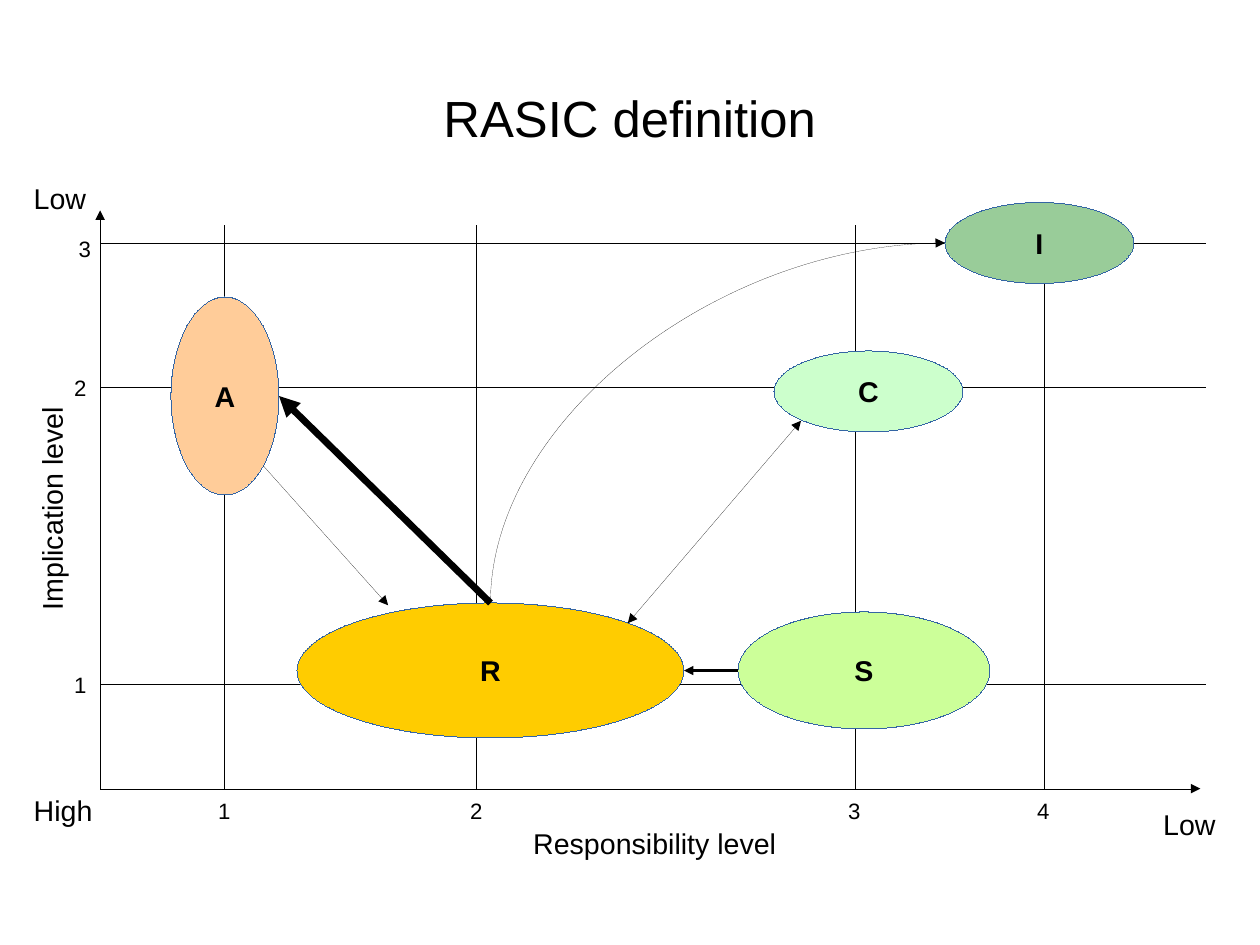
from dataclasses import dataclass

from lxml import etree
from pptx import Presentation
from pptx import util as u
from pptx.dml.color import RGBColor
from pptx.enum import shapes, text
from pptx.oxml import ns

PX = 9000  # EMU per px, 4 px to the millimetre
FONT = "Arial"
COLORS = {
    "ink": "000000",
    "outline": "3465A4",
    "accountable": "FFCC99",
    "responsible": "FFCC00",
    "support": "CCFF99",
    "consulted": "CCFFCC",
    "informed": "99CC99",
}
AXIS_X, AXIS_Y = 89, 701
LEVELS_X = [200, 424, 760, 928]  # responsibility levels 1 to 4
LEVELS_Y = [608, 344, 216]  # implication levels 1 to 3
GRID_TOP, GRID_RIGHT = 200, 1072


@dataclass
class Label:
    content: str
    x: int
    y: int
    w: int
    h: int
    size: int = 18
    rotation: int = 0


@dataclass
class Role:
    letter: str
    color: str
    x: int
    y: int
    w: int
    h: int


@dataclass
class Line:
    x1: int
    y1: int
    x2: int
    y2: int
    width: float = 0
    head: bool = False
    tail: bool = True


LABELS = [
    Label("Implication level", -63, 425, 216, 39, rotation=270),
    Label("Responsibility level", 464, 729, 240, 39),
    Label("Low", 20, 156, 80, 48),
    Label("High", 20, 700, 80, 48),
    Label("Low", 1024, 712, 80, 48),
]
ROLES = [
    Role("A", "accountable", 152, 264, 96, 176),
    Role("R", "responsible", 264, 536, 344, 120),
    Role("S", "support", 656, 544, 224, 104),
    Role("C", "consulted", 688, 312, 168, 72),
    Role("I", "informed", 840, 180, 168, 72),
]
ROLE_ARROWS = [
    Line(436, 536, 248, 352, width=4.31),
    Line(234, 414, 345, 538),
    Line(558, 554, 712, 374, head=True),
    Line(656, 596, 608, 596, width=1.45),
]


def px(n: int) -> u.Emu:
    return u.Emu(n * PX)


def rgb(name: str) -> RGBColor:
    return RGBColor.from_string(COLORS[name])


def drop_style(shape) -> None:
    """Remove the theme style, so that a zero width stays a hairline."""
    shape._element.remove(shape._element.find(ns.qn("p:style")))


def add_run(p, content: str, size: int, bold: bool = False) -> None:
    r = p.add_run()
    r.text = content
    r.font.name = FONT
    r.font.size = u.Pt(size)
    r.font.bold = bold
    r.font.color.rgb = rgb("ink")


def draw_line(s, line: Line, kind=shapes.MSO_CONNECTOR.STRAIGHT):
    c = s.shapes.add_connector(kind, px(line.x1), px(line.y1), px(line.x2), px(line.y2))
    drop_style(c)
    c.line.color.rgb = rgb("ink")
    c.line.width = u.Pt(line.width)
    ln = c.line._get_or_add_ln()
    for tag, wanted in (("a:headEnd", line.head), ("a:tailEnd", line.tail)):
        if wanted:
            etree.SubElement(ln, ns.qn(tag), type="triangle")
    etree.SubElement(c._element.spPr, ns.qn("a:effectLst"))
    return c


def draw_label(s, label: Label) -> None:
    sp = s.shapes.add_textbox(px(label.x), px(label.y), px(label.w), px(label.h))
    sp.rotation = label.rotation
    tf = sp.text_frame
    tf.word_wrap = True
    tf.auto_size = text.MSO_AUTO_SIZE.SHAPE_TO_FIT_TEXT
    add_run(tf.paragraphs[0], label.content, label.size)


def draw_role(s, role: Role) -> None:
    sp = s.shapes.add_shape(shapes.MSO_SHAPE.OVAL,
                            px(role.x), px(role.y), px(role.w), px(role.h))
    drop_style(sp)
    sp.shadow.inherit = False
    sp.fill.solid()
    sp.fill.fore_color.rgb = rgb(role.color)
    sp.line.color.rgb = rgb("outline")
    sp.line.width = u.Pt(0)
    tf = sp.text_frame
    tf.word_wrap = False
    tf.vertical_anchor = text.MSO_ANCHOR.MIDDLE
    p = tf.paragraphs[0]
    p.alignment = text.PP_ALIGN.CENTER
    add_run(p, role.letter, 18, bold=True)


def draw_title(s, content: str) -> None:
    sp = s.shapes.title
    sp.left, sp.top, sp.width, sp.height = px(56), px(34), px(1008), px(140)
    tf = sp.text_frame
    tf.margin_left = tf.margin_right = tf.margin_top = tf.margin_bottom = 0
    tf.word_wrap = True
    tf.auto_size = text.MSO_AUTO_SIZE.NONE
    tf.vertical_anchor = text.MSO_ANCHOR.MIDDLE
    p = tf.paragraphs[0]
    p.alignment = text.PP_ALIGN.CENTER
    add_run(p, content, 32)


def draw_curve(s) -> None:
    """Curved arrow from R up to I: a quarter turn of a flipped connector."""
    c = draw_line(s, Line(798, 578, 478, 174), shapes.MSO_CONNECTOR.CURVE)
    c._element.spPr.find(ns.qn("a:xfrm")).set("rot", str(90 * 60000))
    c._element.spPr.find(ns.qn("a:prstGeom")).set("prst", "curvedConnector2")


def main() -> None:
    prs = Presentation()
    prs.slide_width, prs.slide_height = px(1120), px(840)
    s = prs.slides.add_slide(prs.slide_layouts[5])
    draw_title(s, "RASIC definition")

    # Level grid
    for x in LEVELS_X:
        draw_line(s, Line(x, GRID_TOP, x, AXIS_Y, tail=False))
    for y in LEVELS_Y:
        draw_line(s, Line(AXIS_X, y, GRID_RIGHT, y, tail=False))

    # Axes and their names
    draw_line(s, Line(AXIS_X, AXIS_Y, AXIS_X, 187))
    draw_line(s, Line(AXIS_X, AXIS_Y, 1067, AXIS_Y))
    for label in LABELS:
        draw_label(s, label)

    # Roles and the arrows between them
    for role in ROLES:
        draw_role(s, role)
    for arrow in ROLE_ARROWS:
        draw_line(s, arrow)
    draw_curve(s)

    # Level numbers
    for n, (x, y) in enumerate([(56, 592), (56, 328), (60, 204)], 1):
        draw_label(s, Label(str(n), x, y, 40, 33, size=14))
    for n, x in enumerate(LEVELS_X, 1):
        draw_label(s, Label(str(n), x - 16, 704, 40, 33, size=14))

    prs.save("out.pptx")


if __name__ == "__main__":
    main()
